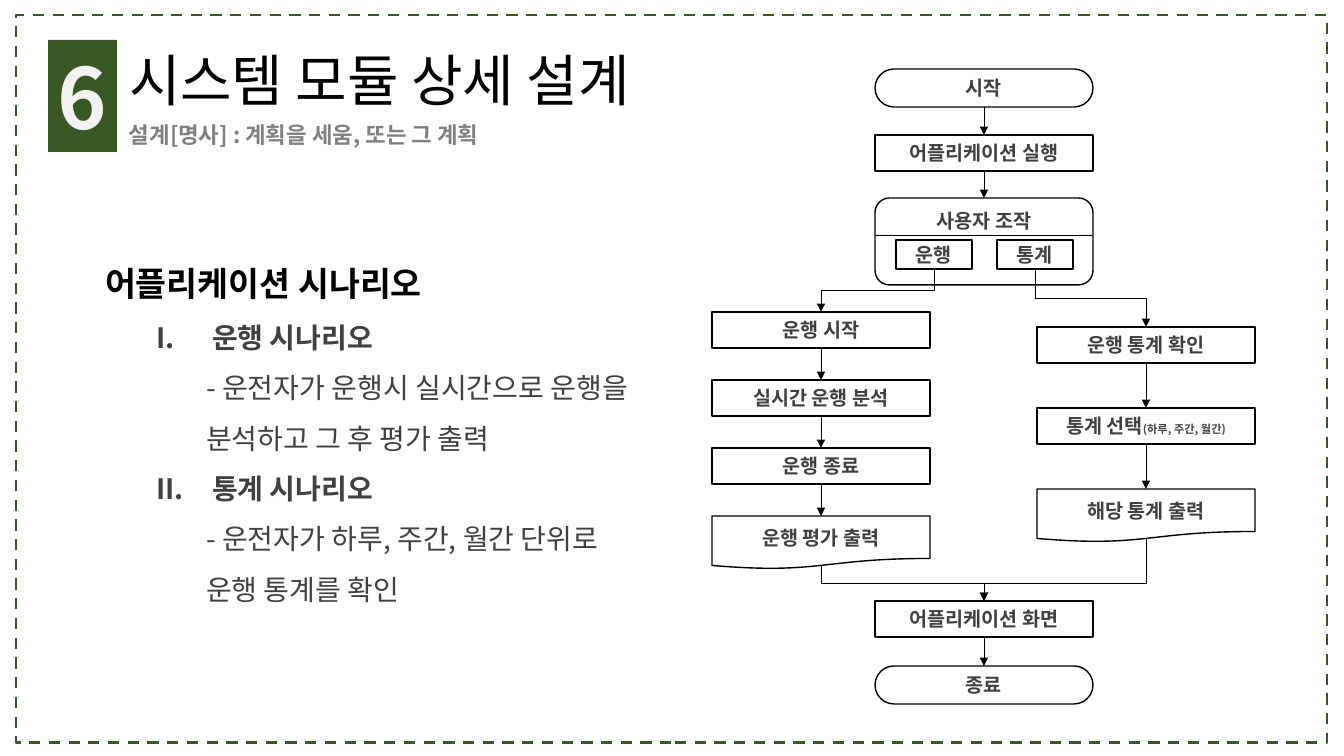
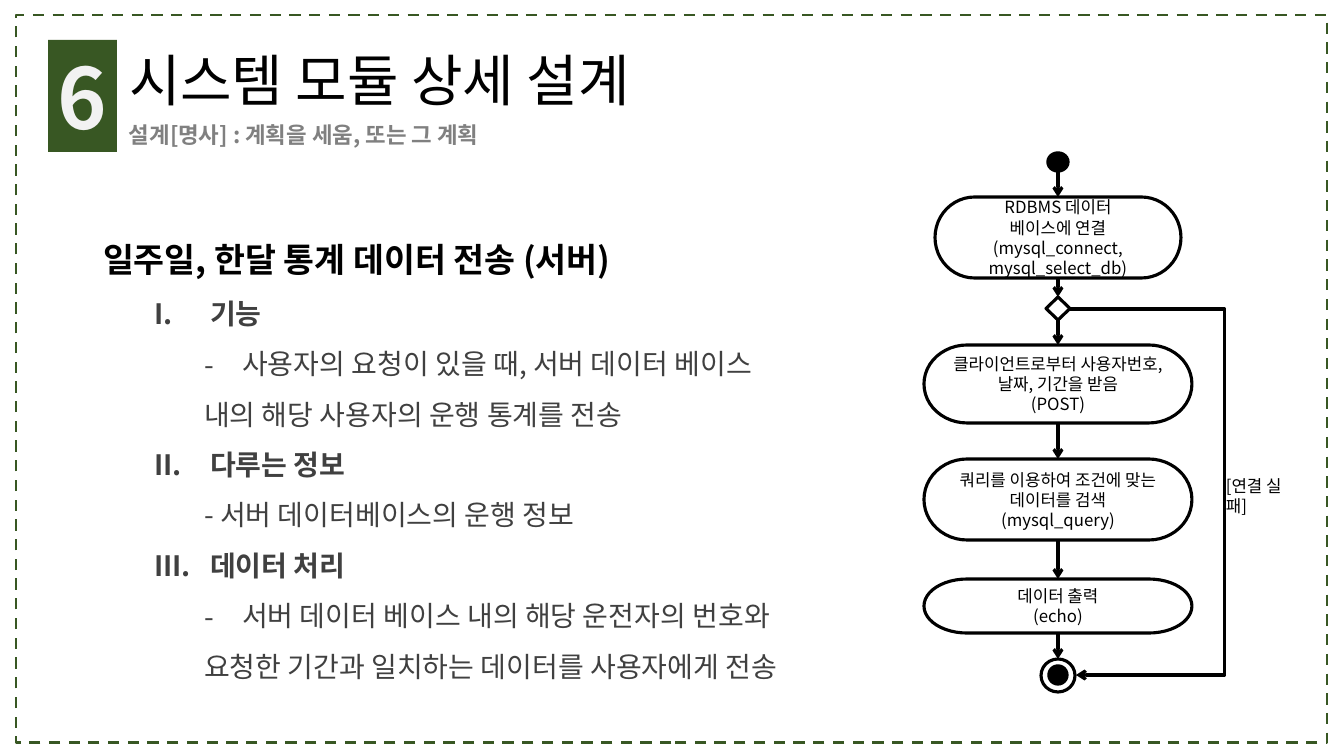
import dataclasses
import itertools

import pptx
import pptx.dml.color
import pptx.enum.dml
import pptx.enum.shapes
import pptx.enum.text
import pptx.oxml
import pptx.oxml.ns
import pptx.util

Shape = pptx.enum.shapes.MSO_SHAPE
Wire = pptx.enum.shapes.MSO_CONNECTOR
Align = pptx.enum.text.PP_ALIGN
Anchor = pptx.enum.text.MSO_ANCHOR
Fit = pptx.enum.text.MSO_AUTO_SIZE
Pt = pptx.util.Pt
qn = pptx.oxml.ns.qn

SCALE = 12192000 / 1344  # EMU in one px
WIDE, HIGH = 1344, 756


@dataclasses.dataclass(frozen=True)
class Theme:
    font: str = "Noto Sans CJK KR"
    green: str = "385723"
    black: str = "000000"
    dark: str = "404040"
    gray: str = "808080"
    pale: str = "F2F2F2"
    white: str = "FFFFFF"
    digit: int = 60
    title: int = 40
    head: int = 24
    body: int = 20
    sub: int = 16
    node: int = 14
    small: int = 12
    tiny: int = 8


T = Theme()

# Outline styles: level, left margin and indent in px, bullet, format
PLAIN = {"size": T.body, "color": T.dark}
BOLD = {**PLAIN, "bold": True}
HEAD = {"size": T.head, "color": T.black, "bold": True}
ROMAN = '<a:buAutoNum {} type="romanUcPeriod"/>'
HYPHEN = '<a:buChar {} char="-"/>'
NONE = "<a:buNone {}/>"
STYLES = {
    "head": (0, 0, 0, NONE, HEAD),
    "item": (1, 107, -56, ROMAN, BOLD),
    "dash": (2, 139, -38, HYPHEN, PLAIN),
    "text": (2, 101, 0, NONE, PLAIN),
}

# Flow chart looks
NODE = {"size": T.node, "color": T.dark, "bold": True}
NOTE = {"size": T.small, "color": T.black}
THIN = {"width": 0.5, "tip": "triangle"}
THICK = {"width": 2.25, "tip": "arrow"}
ROUND = (Shape.OVAL, Shape.FLOWCHART_CONNECTOR)


# Basic helpers
def px(*nums):
    return [round(num * SCALE) for num in nums]


def rgb(code):
    return pptx.dml.color.RGBColor.from_string(code)


def put(obj, **vals):
    for name, val in vals.items():
        setattr(obj, name, val)


def place(shape, box):
    put(shape, **dict(zip(("left", "top", "width", "height"), px(*box))))


def node(form):
    return pptx.oxml.parse_xml(form.format(pptx.oxml.ns.nsdecls("a")))


# Text
def say(para, text, size, color, bold=False):
    run = para.add_run()
    put(run, text=text)
    put(run.font, name=T.font, size=Pt(size), bold=bold)
    run.font.color.rgb = rgb(color)
    east = node("<a:ea {}/>")
    east.set("typeface", T.font)
    run.font._element.find(qn("a:latin")).addnext(east)


def paras(frame):
    yield frame.paragraphs[0]
    while True:
        yield frame.add_paragraph()


def write(frame, text, look, align=Align.LEFT, anchor=Anchor.TOP, wrap=True):
    put(frame, word_wrap=wrap, auto_size=Fit.NONE, vertical_anchor=anchor)
    for line, para in zip(text.split("\n"), paras(frame)):
        para.alignment = align
        say(para, line, **look)


def label(slide, box, text, look):
    area = slide.shapes.add_textbox(*px(*box))
    write(area.text_frame, text, look)


def outline(slide, box, rows):
    body = slide.placeholders[1]
    place(body, box)
    put(body.text_frame, word_wrap=True, auto_size=Fit.NONE,
        vertical_anchor=Anchor.TOP)
    for (kind, text), para in zip(rows, paras(body.text_frame)):
        level, left, indent, bullet, look = STYLES[kind]
        put(para, level=level, line_spacing=1.5, space_before=Pt(0),
            alignment=Align.LEFT)
        props = para._p.get_or_add_pPr()
        for name, val in zip(("marL", "indent"), px(left, indent)):
            props.set(name, str(val))
        face = node("<a:buFont {}/>")
        face.set("typeface", T.font)
        props.append(face)
        props.append(node(bullet))
        say(para, text, **look)


# Shapes
def draw(slide, kind, box, fill=T.white, line=T.black, width=1.0):
    shape = slide.shapes.add_shape(kind, *px(*box))
    shape.shadow.inherit = False
    if fill:
        shape.fill.solid()
        shape.fill.fore_color.rgb = rgb(fill)
    else:
        shape.fill.background()
    if line:
        shape.line.color.rgb = rgb(line)
        shape.line.width = Pt(width)
    else:
        shape.line.fill.background()
    return shape


def step(slide, box, text, kind=Shape.RECTANGLE, look=NODE, width=1.0):
    shape = draw(slide, kind, box, width=width)
    write(shape.text_frame, text, look, Align.CENTER, Anchor.MIDDLE)
    return shape


def pill(slide, box, text):
    shape = step(slide, box, text, Shape.ROUNDED_RECTANGLE)
    shape.adjustments[0] = 0.5
    return shape


# Connectors
def finish(wire, width, tip=None):
    wire.line.color.rgb = rgb(T.black)
    wire.line.width = Pt(width)
    props = wire.element.spPr
    if tip:
        end = node("<a:tailEnd {}/>")
        end.set("type", tip)
        props.find(qn("a:ln")).append(end)
    props.append(node("<a:effectLst {}/>"))


def arrow(slide, top, low, look):
    x1, x2 = top.left + top.width // 2, low.left + low.width // 2
    wire = slide.shapes.add_connector(
        Wire.STRAIGHT, x1, top.top + top.height, x2, low.top)
    if top.auto_shape_type not in ROUND:
        wire.begin_connect(top, 2)
    if low.auto_shape_type not in ROUND:
        wire.end_connect(low, 0)
    finish(wire, **look)


def chain(slide, steps, look):
    for top, low in itertools.pairwise(steps):
        arrow(slide, top, low, look)


def elbow(slide, start, end, bend, look, turn=True):
    """Join two points; with turn it leaves downwards, else sideways."""
    (x1, y1), (x2, y2) = start, end
    if turn:
        part = (bend - y1) / (y2 - y1)
        long, wide = y2 - y1, abs(x2 - x1)
        left, top = (x1 + x2 - long) / 2, (y1 + y2 - wide) / 2
        ends = [left, top, left + long, top + wide]
        if x2 > x1:
            ends[0], ends[2] = ends[2], ends[0]
    else:
        part = (bend - x1) / (x2 - x1)
        ends = [x1, y1, x2, y2]
    wire = slide.shapes.add_connector(Wire.ELBOW, *px(*ends))
    props = wire.element.spPr
    if turn:
        angle = 270 if x2 > x1 else 90
        props.find(qn("a:xfrm")).set("rot", str(angle * 60000))
    guide = node('<a:gd {} name="adj1"/>')
    guide.set("fmla", f"val {round(part * 100000)}")
    geom = props.find(qn("a:prstGeom"))
    geom.get_or_add_avLst().append(guide) if hasattr(
        geom, "get_or_add_avLst") else geom.find(qn("a:avLst")).append(guide)
    finish(wire, **look)


# Shared parts
def border(slide):
    """Draw the dashed border and move it into the shared layout."""
    edge = draw(slide, Shape.RECTANGLE, (16, 15, 1311, 728), None, T.green, 2)
    edge.line.dash_style = pptx.enum.dml.MSO_LINE.DASH
    slide.slide_layout.shapes.element.append(edge.element)


def start(deck):
    slide = deck.slides.add_slide(deck.slide_layouts[1])
    badge = draw(slide, Shape.RECTANGLE, (48, 40, 69, 112), T.green, None)
    write(badge.text_frame, "6",
          {"size": T.digit, "color": T.pale, "bold": True},
          Align.CENTER, Anchor.MIDDLE, False)
    title = slide.shapes.title
    place(title, (119, 40, 586, 78))
    write(title.text_frame, "시스템 모듈 상세 설계",
          {"size": T.title, "color": T.black})
    label(slide, (119, 116, 761, 37), "설계[명사] : 계획을 세움, 또는 그 계획",
          {"size": T.sub, "color": T.gray, "bold": True})
    return slide


# Slide 1: application scenario
def scene(slide):
    outline(slide, (95, 238, 563, 377), [
        ("head", "어플리케이션 시나리오"),
        ("item", "운행 시나리오"),
        ("text", "- 운전자가 운행시 실시간으로 운행을 분석하고 그 후 평가 출력"),
        ("item", "통계 시나리오"),
        ("text", "- 운전자가 하루, 주간, 월간 단위로 운행 통계를 확인"),
    ])
    wide, high = 218, 36
    mid, left, right = 875, 712, 1037
    half = wide // 2

    # Middle column
    first = pill(slide, (mid, 69, wide, 38), "시작")
    launch = step(slide, (mid, 135, wide, high), "어플리케이션 실행")
    user = step(slide, (mid, 198, wide, 87), "사용자 조작",
                Shape.ROUNDED_RECTANGLE)
    put(user.text_frame, vertical_anchor=Anchor.TOP, margin_top=px(7)[0])
    rule = slide.shapes.add_connector(
        Wire.STRAIGHT, *px(mid, 235, mid + wide, 235))
    finish(rule, THIN["width"])
    for x, text in ((896, "운행"), (997, "통계")):
        step(slide, (x, 240, 76, 29), text)
    view = step(slide, (mid, 601, wide, high), "어플리케이션 화면")
    last = pill(slide, (mid, 666, wide, 38), "종료")
    chain(slide, (first, launch, user), THIN)
    chain(slide, (view, last), THIN)

    # Side columns, each ending in a document
    for x, top, gap, texts in (
        (left, 312, 68, ("운행 시작", "실시간 운행 분석", "운행 종료", "운행 평가 출력")),
        (right, 327, 81, ("운행 통계 확인", "통계 선택", "해당 통계 출력")),
    ):
        steps = [step(slide, (x, top + i * gap, wide, high), text)
                 for i, text in enumerate(texts[:-1])]
        low = top + gap * len(steps)
        steps.append(step(slide, (x, low, wide, 53), texts[-1],
                          Shape.FLOWCHART_DOCUMENT))
        chain(slide, steps, THIN)
    say(steps[1].text_frame.paragraphs[0], "(하루, 주간, 월간)",
        **{**NODE, "size": T.tiny})

    # Branches and merge
    for begin, end, bend in (
        ((934, 269), (left + half, 312), 290),
        ((1035, 269), (right + half, 327), 298),
        ((left + half, 566), (mid + half, 601), 583),
        ((right + half, 539), (mid + half, 601), 583),
    ):
        elbow(slide, begin, end, bend, THIN)


# Slide 2: sending statistics from the server
def server(slide):
    outline(slide, (93, 214, 1195, 479), [
        ("head", "일주일, 한달 통계 데이터 전송 (서버)"),
        ("item", "기능"),
        ("dash", "사용자의 요청이 있을 때, 서버 데이터 베이스"),
        ("text", "내의 해당 사용자의 운행 통계를 전송"),
        ("item", "다루는 정보"),
        ("text", "- 서버 데이터베이스의 운행 정보"),
        ("item", "데이터 처리"),
        ("dash", "서버 데이터 베이스 내의 해당 운전자의 번호와"),
        ("text", "요청한 기간과 일치하는 데이터를 사용자에게 전송"),
    ])
    mid, width = 1058, THICK["width"]

    def spot(top, wide, high):
        return mid - wide // 2, top, wide, high

    dot = draw(slide, Shape.OVAL, spot(152, 22, 20), T.black)
    fork = draw(slide, Shape.DIAMOND, spot(297, 24, 23), width=width)
    link, take, query, echo = [
        step(slide, spot(*size), text, Shape.FLOWCHART_TERMINATOR, NOTE, width)
        for size, text in (
            ((197, 246, 81),
             "RDBMS 데이터\n베이스에 연결\n(mysql_connect, mysql_select_db)"),
            ((345, 268, 78), "클라이언트로부터 사용자번호, 날짜, 기간을 받음\n(POST)"),
            ((459, 268, 81), "쿼리를 이용하여 조건에 맞는 데이터를 검색\n(mysql_query)"),
            ((579, 268, 54), "데이터 출력\n(echo)"),
        )]
    ring = draw(slide, Shape.FLOWCHART_CONNECTOR, spot(659, 34, 33),
                width=width)
    draw(slide, Shape.OVAL, spot(665, 20, 20), T.black)
    chain(slide, (dot, link, fork, take, query, echo, ring), THICK)
    elbow(slide, (1070, 309), (1076, 675), 1225, THICK, turn=False)
    label(slide, (1216, 471, 92, 50), "[연결 실패]", NOTE)


def main():
    deck = pptx.Presentation()
    put(deck, **dict(zip(("slide_width", "slide_height"), px(WIDE, HIGH))))
    first, second = start(deck), start(deck)
    border(first)
    scene(first)
    server(second)
    deck.save("out.pptx")


if __name__ == "__main__":
    main()
